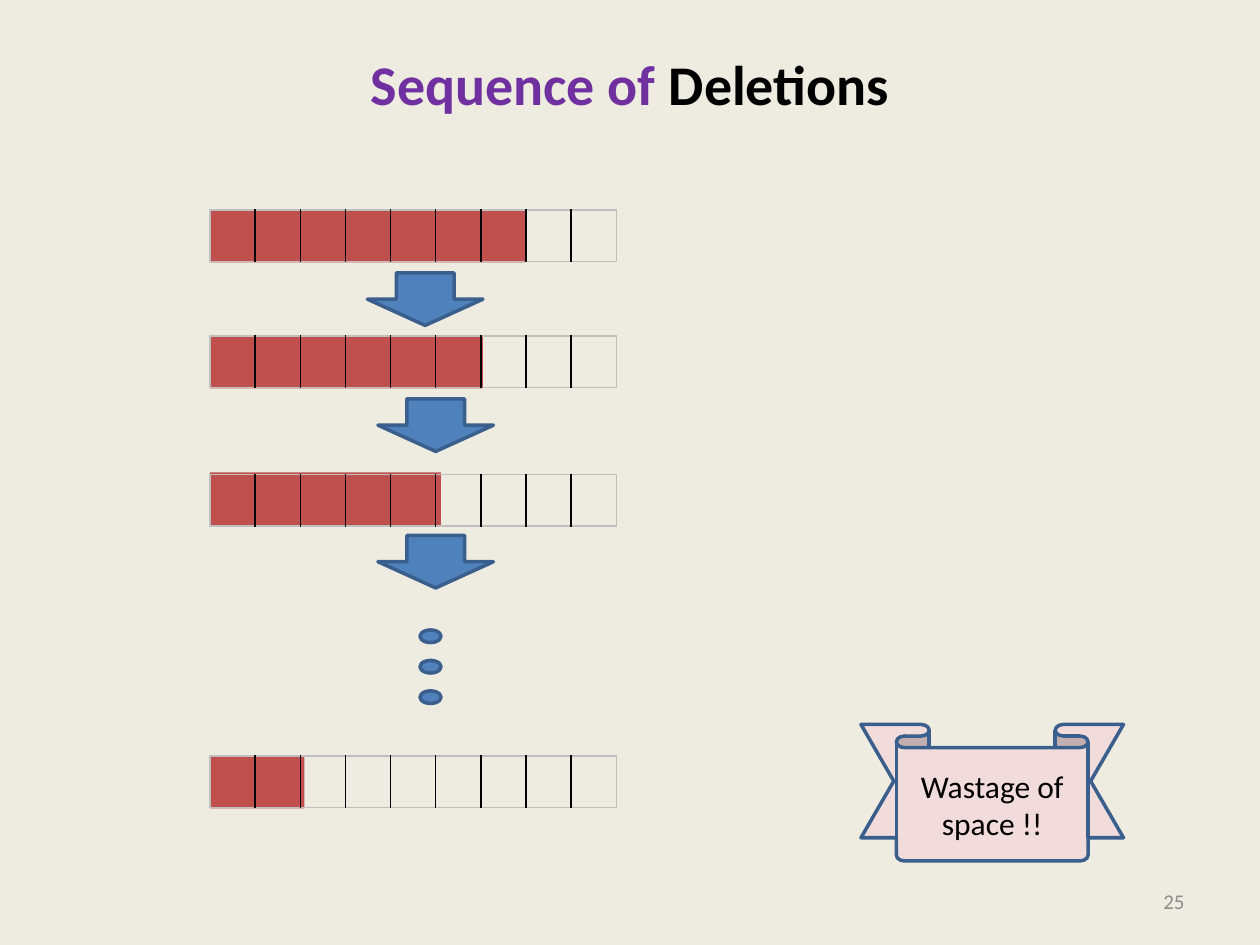
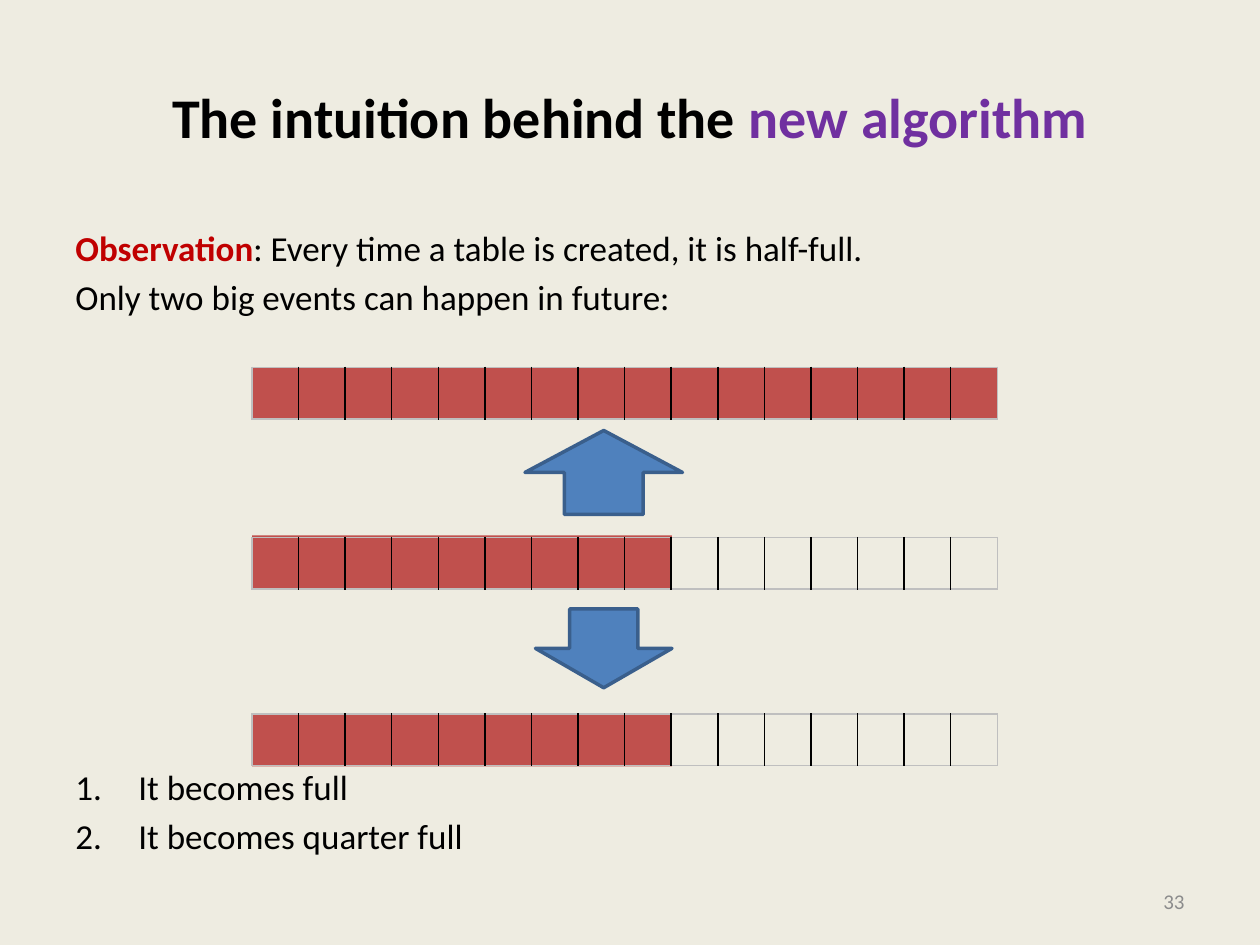
from dataclasses import dataclass
from lxml.etree import SubElement as Sub
from pptx import Presentation
from pptx.dml.color import RGBColor as RGB
from pptx.enum.shapes import MSO_SHAPE as Kind
from pptx.enum.text import MSO_ANCHOR as Anchor, PP_ALIGN as Align
from pptx.oxml.ns import qn
from pptx.util import Pt

PX = 7620  # EMU per px, 120 px to the inch


@dataclass(frozen=True)
class Theme:
    font: str = "Calibri"
    back: str = "EEECE1"
    ink: str = "000000"
    accent: str = "7030A0"
    alert: str = "C00000"
    full: str = "C0504D"
    blue: str = "4F81BD"
    edge: str = "3A5F8C"
    pink: str = "F2DCDB"
    frame: str = "BFBFBF"
    mute: str = "8C8C8C"
    head: int = 32
    body: int = 20
    label: int = 18
    foot: int = 12


class Deck:
    def __init__(self, theme):
        self.theme = theme
        self.prs = Presentation()
        self.prs.slide_width, self.prs.slide_height = 1200 * PX, 900 * PX
        self.slide = None

    def page(self, num, title, top=36):
        """Start a slide with its background, title and number."""
        t = self.theme
        self.slide = self.prs.slides.add_slide(self.prs.slide_layouts[6])
        fill = self.slide.background.fill
        fill.solid()
        fill.fore_color.rgb = RGB.from_string(t.back)
        self.text((60, top, 1080, 150), [title], t.head, Align.CENTER,
                  Anchor.MIDDLE, bold=True)
        self.text((860, 834, 280, 48), [[(str(num), t.mute)]], t.foot,
                  Align.RIGHT, Anchor.MIDDLE)

    def line(self, para, runs, size, align, bold=False):
        """Fill a paragraph with (text, colour[, bold]) runs."""
        para.alignment = align
        font = para.font
        font.name, font.size, font.bold = self.theme.font, Pt(size), bold
        for words, color, *strong in runs:
            run = para.add_run()
            run.text = words
            run.font.color.rgb = RGB.from_string(color)
            if strong:
                run.font.bold = strong[0]

    def text(self, box, lines, size, align=Align.LEFT, anchor=Anchor.TOP,
             bold=False, number=False):
        frame = self.slide.shapes.add_textbox(*(v * PX for v in box)).text_frame
        frame.word_wrap = True
        frame.vertical_anchor = anchor
        for i, runs in enumerate(lines):
            para = frame.add_paragraph() if i else frame.paragraphs[0]
            self.line(para, runs, size, align, bold)
            para.space_before = Pt(size * 0.2)
            if number:
                props = para._p.get_or_add_pPr()
                props.set("marL", str(60 * PX))
                props.set("indent", str(-60 * PX))
                Sub(props, qn("a:buFont"), typeface="+mj-lt")
                Sub(props, qn("a:buAutoNum"), type="arabicPeriod")
                # Bullet elements go before the default run properties
                props.append(props.find(qn("a:defRPr")))

    def shape(self, kind, box, fill, edge=True):
        item = self.slide.shapes.add_shape(kind, *(v * PX for v in box))
        item.shadow.inherit = False
        item.fill.solid()
        item.fill.fore_color.rgb = RGB.from_string(fill)
        if edge:
            item.line.color.rgb = RGB.from_string(self.theme.edge)
            item.line.width = Pt(2)
        else:
            item.line.fill.background()
        return item

    def arrow(self, box, kind=Kind.DOWN_ARROW):
        self.shape(kind, box, self.theme.blue)

    def dots(self, left, top, count, step):
        items = [self.shape(Kind.OVAL, (left, top + i * step, 20, 12),
                            self.theme.blue) for i in range(count)]
        self.slide.shapes.add_group_shape(items)

    def ribbon(self, box, words):
        t = self.theme
        item = self.shape(Kind.DOWN_RIBBON, box, t.pink)
        item.adjustments[0], item.adjustments[1] = 0.17, 0.73
        frame = item.text_frame
        frame.word_wrap = True
        frame.vertical_anchor = Anchor.MIDDLE
        self.line(frame.paragraphs[0], [(words, t.ink)], t.label, Align.CENTER)

    def slots(self, left, top, width, count, used, drop=0):
        """Draw a one-row table over a bar that shows the used part."""
        t = self.theme
        self.shape(Kind.RECTANGLE, (left, top, used, 50), t.full, edge=False)
        table = self.slide.shapes.add_table(
            1, count, left * PX, (top + drop) * PX, width * PX, 49 * PX).table
        table.first_row = table.horz_banding = False
        for i, col in enumerate(table.columns):
            col.width = width * PX // count
            cell = table.cell(0, i)
            sides = {"L": t.ink if i else t.frame,
                     "R": t.ink if i < count - 1 else t.frame,
                     "T": t.frame, "B": t.frame}
            props = cell._tc.get_or_add_tcPr()
            for side, color in sides.items():
                rule = Sub(props, qn("a:ln" + side), w=str(Pt(1)))
                Sub(Sub(rule, qn("a:solidFill")), qn("a:srgbClr"), val=color)
            cell.fill.background()


def deletions(deck):
    t = deck.theme
    deck.page(25, [("Sequence of ", t.accent), ("Deletions", t.ink)], top=4)

    # Table after each deletion
    for top, used, drop in ((200, 300, 0), (320, 260, 0),
                            (450, 220, 2), (720, 90, 0)):
        deck.slots(200, top, 387, 9, used, drop)

    # Steps between the tables
    for left, top in ((350, 260), (360, 380), (360, 510)):
        deck.arrow((left, top, 110, 50))
    deck.dots(400, 600, 3, 29)

    deck.ribbon((820, 690, 250, 130), "Wastage of space !!")


def intuition(deck):
    t = deck.theme
    deck.page(33, [("The intuition behind the ", t.ink),
                   ("new algorithm", t.accent)])

    # Observation and the two events
    deck.text((60, 210, 1080, 110), [
        [("Observation", t.alert, True),
         (": Every time a table is created, it is half-full.", t.ink)],
        [("Only two big events can happen in future:", t.ink)]], t.body)
    deck.text((60, 723, 1080, 110), [
        [("It becomes full", t.ink)],
        [("It becomes quarter full", t.ink)]], t.body, number=True)

    # Full table, new table, shrunken table
    for top, used, drop in ((350, 710, 0), (510, 400, 2), (680, 400, 0)):
        deck.slots(240, top, 710, 16, used, drop)
    deck.arrow((500, 410, 150, 80), Kind.UP_ARROW)
    deck.arrow((510, 580, 130, 75))


def main():
    deck = Deck(Theme())
    deletions(deck)
    intuition(deck)
    deck.prs.save("out.pptx")


if __name__ == "__main__":
    main()
